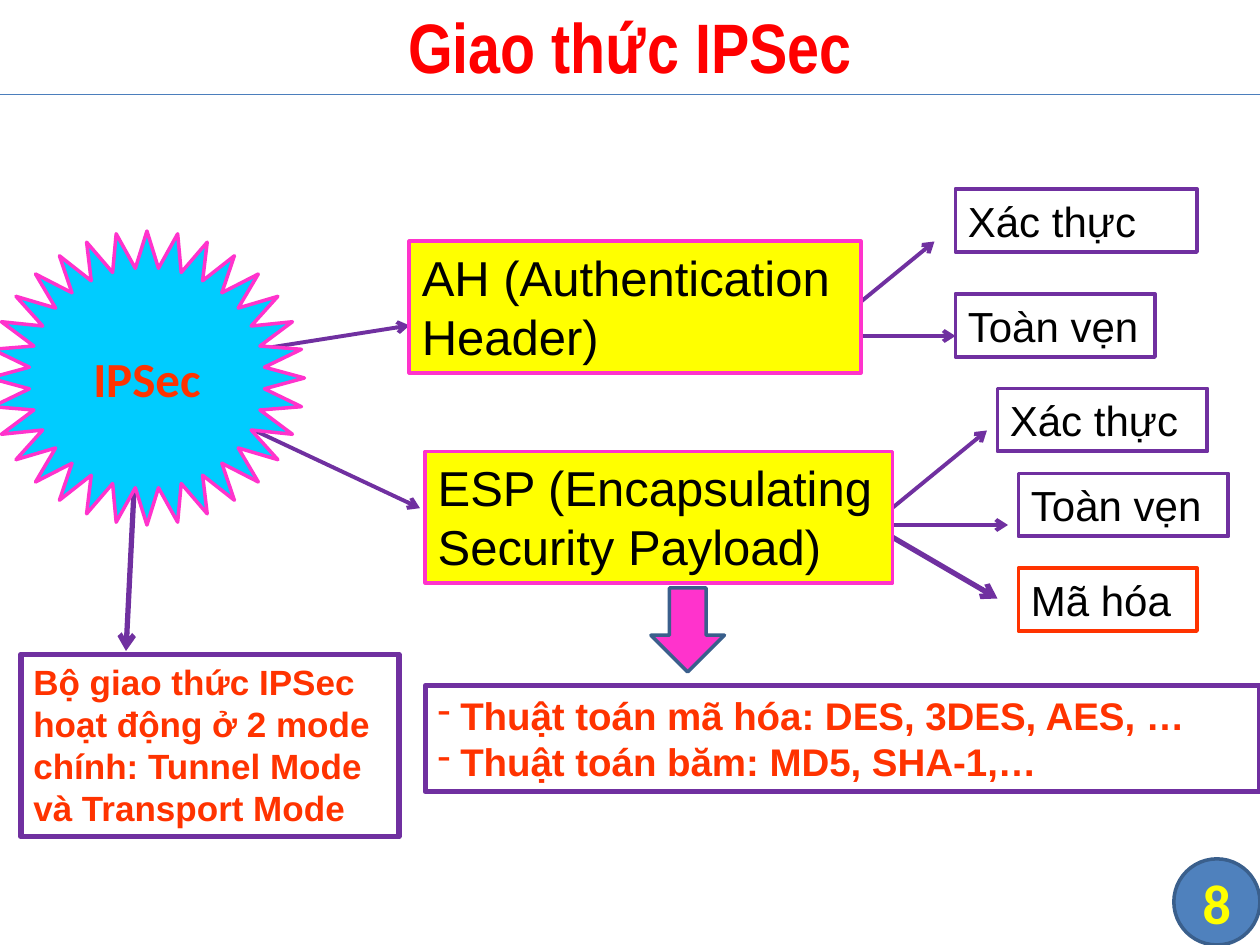
from dataclasses import dataclass

from lxml.etree import SubElement
from pptx import Presentation
from pptx.dml.color import RGBColor
from pptx.enum.shapes import MSO_CONNECTOR as Connector, MSO_SHAPE as Shape
from pptx.enum.text import MSO_ANCHOR as Anchor, MSO_AUTO_SIZE as AutoSize, PP_ALIGN as Align
from pptx.oxml.ns import qn
from pptx.util import Inches, Pt


@dataclass(frozen=True)
class Theme:
    red: str = "FF0000"
    orange: str = "FF3300"
    yellow: str = "FFFF00"
    pink: str = "FF33CC"
    cyan: str = "00CCFF"
    purple: str = "7030A0"
    blue: str = "4F81BD"
    dark_blue: str = "3A5F8C"
    rule: str = "4B7EBC"
    white: str = "FFFFFF"
    black: str = "000000"
    body_font: str = "Arial"
    title_font: str = "Arial Narrow"
    accent_font: str = "Calibri"
    title: int = 40
    number: int = 32
    heading: int = 28
    label: int = 24
    detail: int = 22
    note: int = 20
    hairline: float = 0.75
    outline: float = 2
    medium: float = 2.25
    heavy: float = 3


THEME = Theme()
COLUMNS, ROWS = 120, 90


def write_text(shape, text, size, color, font=THEME.body_font, bold=False,
               align=Align.LEFT, anchor=Anchor.TOP, margin=None, bullet=None):
    """Fill a shape with one paragraph per line of text."""
    frame = shape.text_frame
    frame.text = text
    frame.word_wrap = True
    frame.auto_size = AutoSize.NONE
    frame.vertical_anchor = anchor
    if margin is not None:
        frame.margin_left = frame.margin_right = margin
        frame.margin_top = frame.margin_bottom = margin
    for paragraph in frame.paragraphs:
        paragraph.alignment = align
        style = paragraph.runs[0].font
        style.name, style.size, style.bold = font, Pt(size), bold
        style.color.rgb = RGBColor.from_string(color)
        if bullet:
            properties = paragraph._p.get_or_add_pPr()
            indent = Inches(0.18)
            properties.set("marL", str(indent))
            properties.set("indent", str(-indent))
            SubElement(properties, qn("a:buChar"), char=bullet)


class SlideBuilder:
    """Draws on one slide; every length is in grid columns and rows."""

    def __init__(self, presentation, theme):
        self.theme = theme
        self.column = presentation.slide_width / COLUMNS
        self.row = presentation.slide_height / ROWS
        self.slide = presentation.slides.add_slide(presentation.slide_layouts[5])

    def place(self, left, top, width, height):
        return (round(left * self.column), round(top * self.row),
                round(width * self.column), round(height * self.row))

    def title(self, text, *area):
        title = self.slide.shapes.title
        title.left, title.top, title.width, title.height = self.place(*area)
        write_text(title, text, self.theme.title, self.theme.red, font=self.theme.title_font,
                   bold=True, align=Align.CENTER, anchor=Anchor.MIDDLE)

    def line(self, start, end, color, width, arrow=True):
        x1, y1, x2, y2 = self.place(*start, *end)
        line = self.slide.shapes.add_connector(Connector.STRAIGHT, x1, y1, x2, y2)
        line.line.color.rgb = RGBColor.from_string(color)
        line.line.width = Pt(width)
        if arrow:
            SubElement(line.line._get_or_add_ln(), qn("a:tailEnd"), type="arrow")
        SubElement(line._element.spPr, qn("a:effectLst"))

    def shape(self, kind, area, fill, line, width):
        shape = self.slide.shapes.add_shape(kind, *self.place(*area))
        shape.shadow.inherit = False
        if fill:
            shape.fill.solid()
            shape.fill.fore_color.rgb = RGBColor.from_string(fill)
        else:
            shape.fill.background()
        shape.line.color.rgb = RGBColor.from_string(line)
        shape.line.width = Pt(width)
        return shape

    def box(self, text, area, size, color, fill, line, width, **text_format):
        box = self.shape(Shape.RECTANGLE, area, fill, line, width)
        write_text(box, text, size, color, **text_format)

    def badge(self, kind, text, area, size, color, fill, line):
        badge = self.shape(kind, area, fill, line, self.theme.outline)
        write_text(badge, text, size, color, font=self.theme.accent_font, bold=True,
                   align=Align.CENTER, anchor=Anchor.MIDDLE, margin=0)


def main():
    presentation = Presentation()
    presentation.slide_width, presentation.slide_height = Inches(10), Inches(7.5)
    theme = THEME
    builder = SlideBuilder(presentation, theme)

    builder.title("Giao thức IPSec", 0, -0.4, COLUMNS, 9.4)
    builder.line((0, 9), (COLUMNS, 9), theme.rule, theme.hairline, arrow=False)
    builder.badge(Shape.FLOWCHART_CONNECTOR, "8", (111.8, 81.8, 8.2, 8.2),
                  theme.number, theme.yellow, theme.blue, theme.dark_blue)

    ah_exit, esp_exit = (78, 32), (83, 50)
    for start, end, width in (
        (ah_exit, (89, 23), theme.medium),
        (ah_exit, (91, 32), theme.medium),
        (esp_exit, (94, 41), theme.medium),
        (esp_exit, (96, 50), theme.medium),
        (esp_exit, (95, 57), theme.heavy),
        ((13, 42), (12, 62), theme.heavy),
        ((20, 34), (39, 31), theme.medium),
        ((20, 39), (40, 48.4), theme.medium),
    ):
        builder.line(start, end, theme.purple, width)

    for text, left, top, width in (
        ("AH (Authentication Header)", 39, 23, 43),
        ("ESP (Encapsulating Security Payload)", 40.5, 43, 44.5),
    ):
        builder.box(text, (left, top, width, 12.5), theme.heading, theme.black,
                    theme.yellow, theme.pink, theme.medium)

    builder.badge(Shape.STAR_32_POINT, "IPSec", (-1, 22, 30, 28),
                  theme.heading, theme.orange, theme.cyan, theme.pink)
    builder.box("Bộ giao thức IPSec hoạt động ở 2 mode chính: Tunnel Mode và Transport Mode",
                (2, 62.3, 36, 17.4), theme.note, theme.orange,
                theme.white, theme.purple, theme.heavy, bold=True)

    for text, left, top, width, outline in (
        ("Xác thực", 91, 18, 23, theme.purple),
        ("Toàn vẹn", 91, 28, 19, theme.purple),
        ("Xác thực", 95, 37, 20, theme.purple),
        ("Toàn vẹn", 97, 45.1, 20, theme.purple),
        ("Mã hóa", 97, 54.1, 17, theme.orange),
    ):
        builder.box(text, (left, top, width, 6), theme.label, theme.black,
                    None, outline, theme.medium)

    builder.shape(Shape.DOWN_ARROW, (62, 56, 7, 8), theme.pink, theme.dark_blue, theme.outline)
    builder.box("Thuật toán mã hóa: DES, 3DES, AES, …\nThuật toán băm: MD5, SHA-1,…",
                (40.5, 65.3, 79.5, 10.1), theme.detail, theme.orange,
                theme.white, theme.purple, theme.heavy, bold=True, bullet="-")

    presentation.save("out.pptx")


if __name__ == "__main__":
    main()
